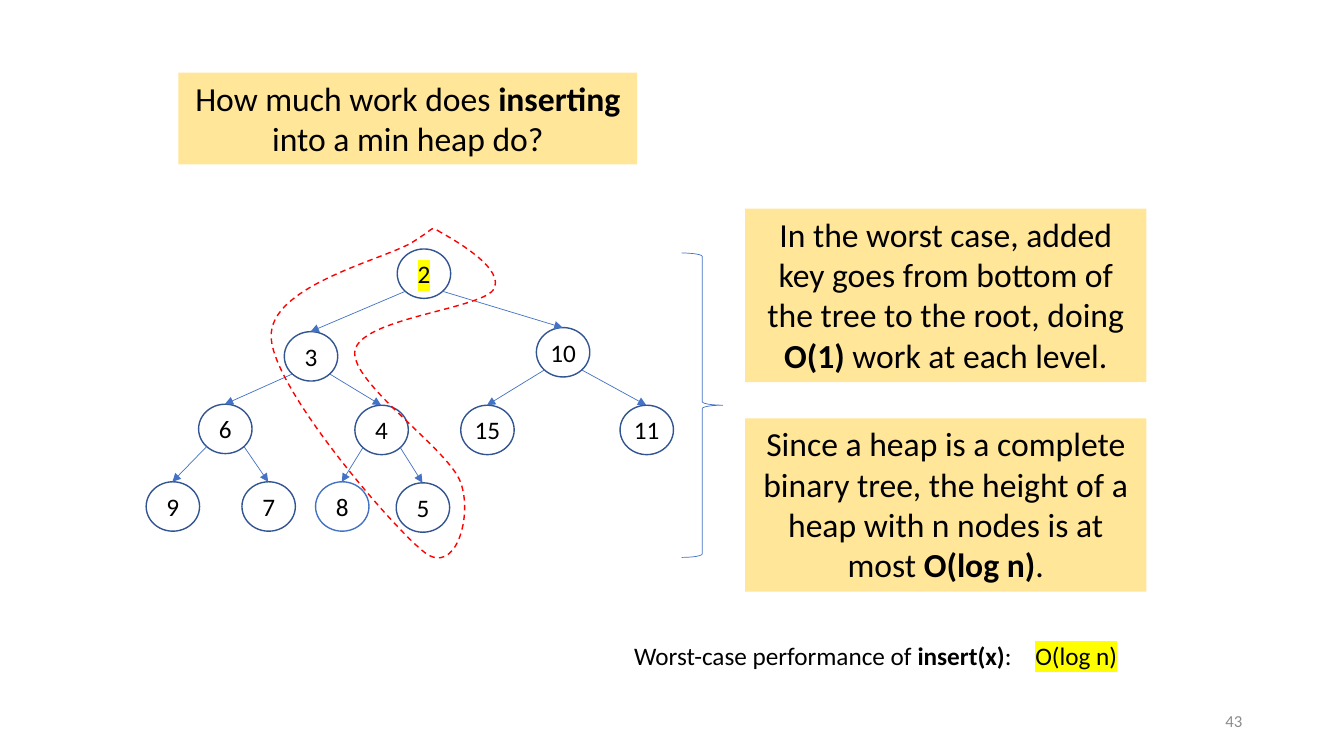
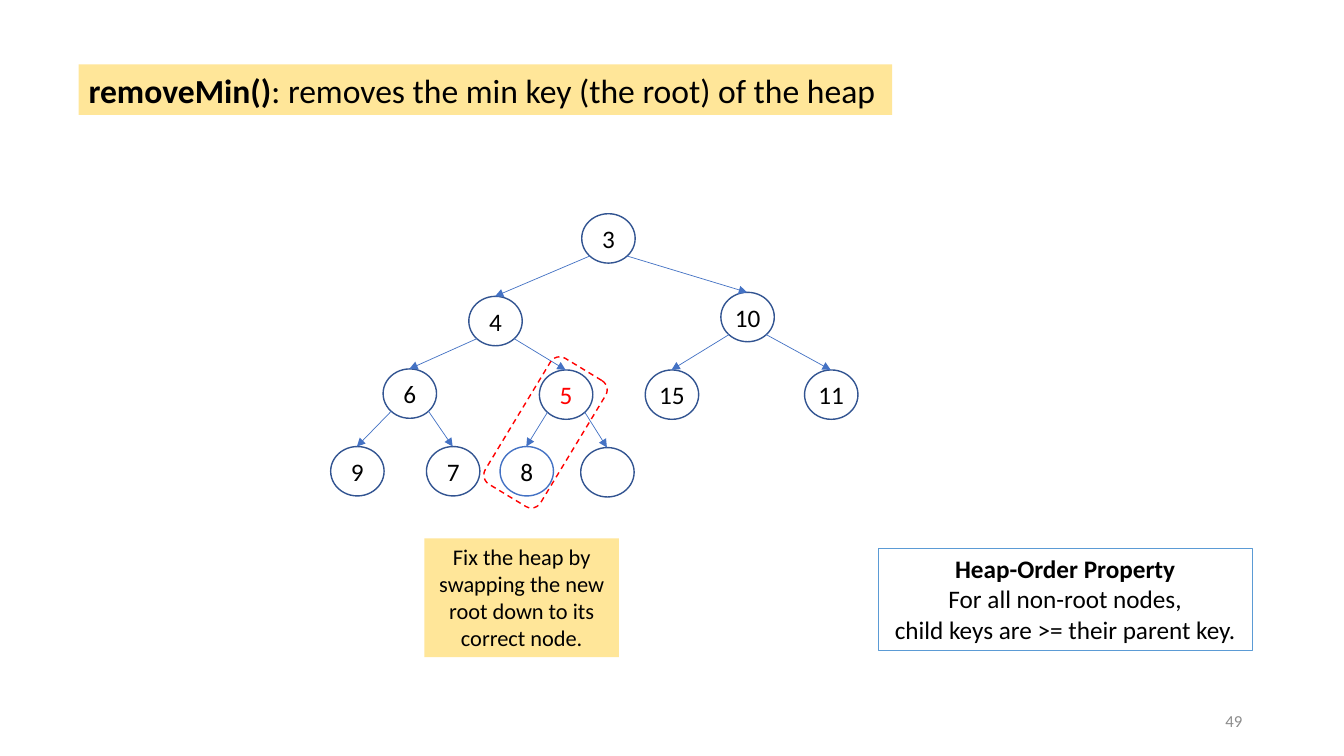
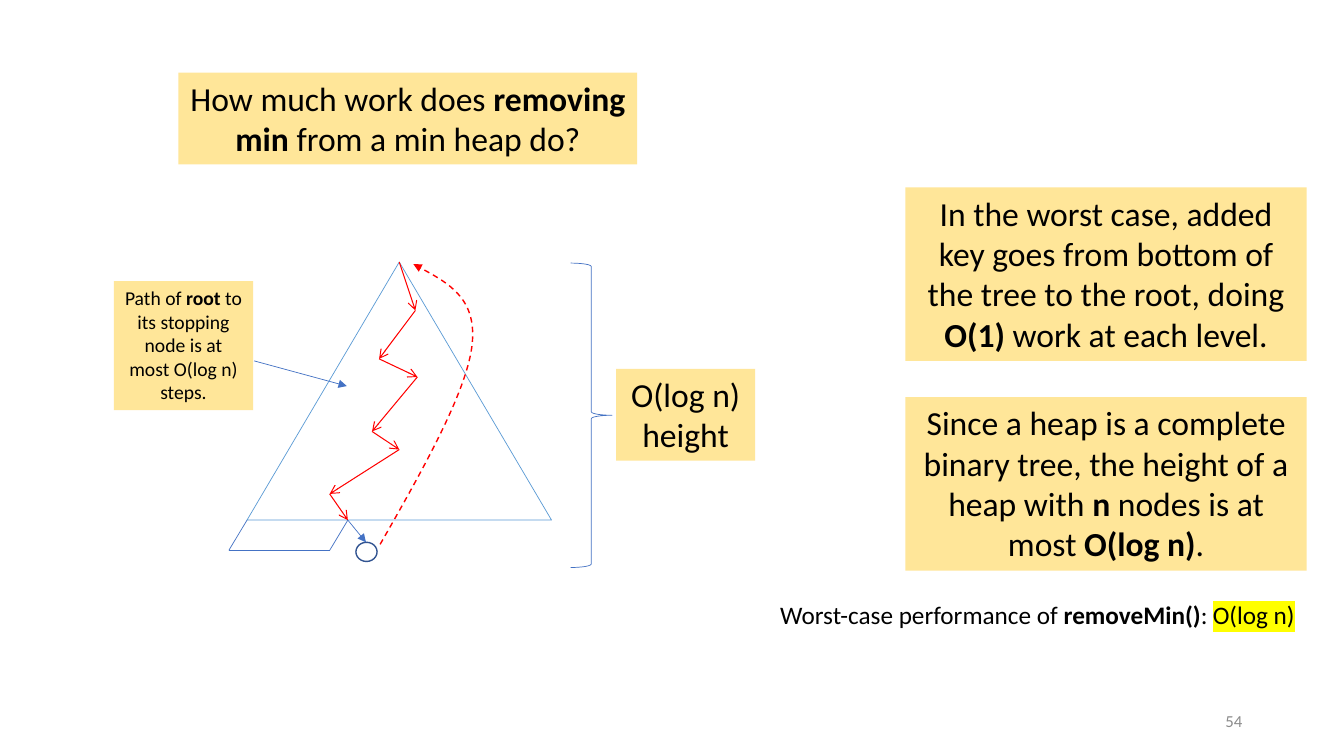
import itertools

import pptx
import pptx.dml.color
import pptx.enum.dml
import pptx.enum.shapes
import pptx.enum.text
import pptx.oxml
import pptx.oxml.ns
import pptx.util

PX = 9144  # EMU per px, 100 px to the inch
SHAPES = pptx.enum.shapes.MSO_SHAPE
ALIGN = pptx.enum.text.PP_ALIGN
ANCHOR = pptx.enum.text.MSO_ANCHOR
qn = pptx.oxml.ns.qn


def color(value):
    return pptx.dml.color.RGBColor.from_string(value)


def add_xml(parent, name, **attributes):
    child = parent.makeelement(qn(name), attributes)
    parent.append(child)
    return child


class HeapDeck:
    FONT = "Calibri"
    BLACK, GRAY, RED = "000000", "8C8C8C", "FF0000"
    SAND, YELLOW = "FFE699", "FFFF00"
    NAVY, BLUE, SKY = "325491", "4472C4", "5B9BD5"
    NODE_WIDTH, NODE_HEIGHT = 53, 49

    def __init__(self):
        self.deck = pptx.Presentation()
        self.deck.slide_width = 1333 * PX
        self.deck.slide_height = 750 * PX
        self.page = None

    def new_page(self, number):
        self.page = self.deck.slides.add_slide(self.deck.slide_layouts[6])
        self.text(942, 695, 300, 40, [number], size=12, ink=self.GRAY,
                  align=ALIGN.RIGHT, anchor=ANCHOR.MIDDLE)

    # Text: each paragraph is a string, with ** around its bold parts
    def fill_text(self, frame, paragraphs, size, ink, align, mark=None):
        for index, content in enumerate(paragraphs):
            para = frame.paragraphs[0] if index == 0 else frame.add_paragraph()
            para.alignment = align
            for part, words in enumerate(content.split("**")):
                if not words:
                    continue
                span = para.add_run()
                span.text = words
                span.font.name = self.FONT
                span.font.size = pptx.util.Pt(size)
                span.font.bold = part % 2 == 1
                span.font.color.rgb = color(ink)
                if mark:
                    latin = span.font._element.find(qn("a:latin"))
                    highlight = add_xml(span.font._element, "a:highlight")
                    add_xml(highlight, "a:srgbClr", val=mark)
                    latin.addprevious(highlight)

    def text(self, left, top, width, height, paragraphs, size=18, ink=BLACK,
             align=ALIGN.LEFT, anchor=ANCHOR.TOP, wrap=True, mark=None):
        box = self.page.shapes.add_textbox(left * PX, top * PX, width * PX, height * PX)
        box.text_frame.word_wrap = wrap
        box.text_frame.vertical_anchor = anchor
        self.fill_text(box.text_frame, paragraphs, size, ink, align, mark)
        return box

    def note(self, left, top, width, height, content, size=24, align=ALIGN.CENTER):
        box = self.text(left, top, width, height, [content], size, align=align)
        box.fill.solid()
        box.fill.fore_color.rgb = color(self.SAND)

    # Lines and outlines
    def stroke(self, line, ink, weight, dashed=False):
        line.color.rgb = color(ink)
        line.width = pptx.util.Pt(weight)
        if dashed:
            line.dash_style = pptx.enum.dml.MSO_LINE.DASH

    def arrowhead(self, shape, kind):
        add_xml(shape.line._get_or_add_ln(), "a:tailEnd", type=kind)

    def shape(self, kind, left, top, width, height, ink, weight, dashed=False):
        shape = self.page.shapes.add_shape(
            kind, left * PX, top * PX, width * PX, height * PX)
        shape.shadow.inherit = False
        shape.fill.background()
        self.stroke(shape.line, ink, weight, dashed)
        return shape

    def lines(self, points, ink=BLUE, weight=0.5, arrow=None):
        for start, end in itertools.pairwise(points):
            line = self.page.shapes.add_connector(
                pptx.enum.shapes.MSO_CONNECTOR.STRAIGHT,
                *(value * PX for value in start + end))
            self.stroke(line.line, ink, weight)
            if arrow:
                self.arrowhead(line, arrow)
            add_xml(line._element.spPr, "a:effectLst")

    def curve(self, start, bends, closed=False):
        """Each bend is two control points and an end point."""
        ends = [bend[2] for bend in bends]
        builder = self.page.shapes.build_freeform(*start, scale=PX)
        builder.add_line_segments(ends, close=closed)
        shape = builder.convert_to_shape()
        left = min(x for x, y in [start] + ends)
        top = min(y for x, y in [start] + ends)
        segments = list(shape._element.iter(qn("a:lnTo")))
        for segment, bend in zip(segments, bends):
            bezier = segment.makeelement(qn("a:cubicBezTo"), {})
            for x, y in bend:
                add_xml(bezier, "a:pt", x=str(x - left), y=str(y - top))
            segment.getparent().replace(segment, bezier)
        shape.shadow.inherit = False
        shape.fill.background()
        self.stroke(shape.line, self.RED, 1, dashed=True)
        return shape

    # Heap parts
    def tree(self, left, top, keys, red=None, marked=None):
        """Draw keys in level order; (left, top) is the root's corner."""
        places = [(0, 0), (-112, 82), (138, 78), (-197, 154), (-42, 155), (63, 155),
                  (221, 155), (-249, 231), (-154, 231), (-81, 231), (-1, 232)]
        places = [(left + x, top + y) for x, y in places]
        for index, (key, (x, y)) in enumerate(zip(keys, places)):
            ink = self.BLUE if key == "8" else self.NAVY
            node = self.shape(SHAPES.OVAL, x, y, self.NODE_WIDTH, self.NODE_HEIGHT, ink, 1)
            frame = node.text_frame
            frame.margin_left = frame.margin_right = 0
            frame.margin_top = frame.margin_bottom = 0
            frame.word_wrap = False
            self.fill_text(frame, [key], 18, self.RED if key == red else self.BLACK,
                           ALIGN.CENTER, self.YELLOW if key == marked else None)
            if index:
                parent_x, parent_y = places[(index - 1) // 2]
                side = 8 if index % 2 else 45
                self.lines([(parent_x + side, parent_y + 42),
                            (x + self.NODE_WIDTH // 2, y)], arrow="triangle")

    def question(self, content):
        self.note(177, 72, 455, 91, content)

    def brace(self, left, top):
        self.shape(SHAPES.RIGHT_BRACE, left, top, 41, 302, self.BLUE, 0.5)

    def reasons(self, left, top, count):
        reasons = [
            "In the worst case, added key goes from bottom of the tree to the root, "
            "doing **O(1)** work at each level.",
            "Since a heap is a complete binary tree, the height of a heap with "
            f"{count} nodes is at most **O(log n)**."]
        for row, reason in enumerate(reasons):
            self.note(left, top + row * 208, 398, 172, reason)

    def verdict(self, left, top, width, method, answer_left):
        self.text(left, top, width, 40,
                  [f"Worst-case performance of **{method}**:"], wrap=False)
        self.text(answer_left, top, 102, 40, ["O(log n)"], wrap=False, mark=self.YELLOW)


def insert_cost(heap):
    heap.new_page("43")
    heap.tree(394, 247, ["2", "3", "10", "6", "4", "15", "11", "9", "7", "8", "5"],
              marked="2")
    heap.question("How much work does **inserting** into a min heap do?")
    # Loop around the way up from the new key
    heap.curve((438, 231), [
        [(425, 224), (436, 224), (408, 241)],
        [(379, 258), (266, 284), (269, 335)],
        [(271, 386), (390, 524), (421, 548)],
        [(452, 572), (469, 512), (457, 479)],
        [(446, 446), (347, 380), (352, 348)],
        [(358, 316), (474, 307), (489, 288)],
        [(503, 268), (452, 239), (438, 231)]], closed=True)
    heap.brace(676, 251)
    heap.reasons(739, 207, "n")
    heap.verdict(619, 630, 395, "insert(x)", 1017)


def remove_step(heap):
    heap.new_page("49")
    heap.tree(577, 212, ["3", "4", "10", "6", "5", "15", "11", "9", "7", "8", ""], red="5")
    heap.note(78, 64, 807, 50, "**removeMin()**: removes the min key (the root) of the heap",
              align=ALIGN.LEFT)
    rule = heap.text(871, 544, 371, 101,
                     ["**Heap-Order Property**", "For all non-root nodes,",
                      "child keys are >= their parent key."], align=ALIGN.CENTER)
    heap.stroke(rule.line, heap.SKY, 0.75)
    heap.note(421, 534, 193, 118,
              "Fix the heap by swapping the new root down to its correct node.", size=16)
    swap = heap.shape(SHAPES.ROUNDED_RECTANGLE, 468, 397, 146, 64, heap.RED, 1, dashed=True)
    swap.rotation = 121.2


def remove_cost(heap):
    heap.new_page("54")
    heap.question("How much work does **removing min** from a min heap do?")
    heap.brace(566, 261)
    heap.reasons(898, 186, "**n**")
    # Heap outline with its partly filled last level
    heap.shape(SHAPES.ISOSCELES_TRIANGLE, 245, 260, 302, 256, heap.SKY, 0.5)
    heap.lines([(245, 516), (227, 546), (327, 546), (345, 516)])
    heap.shape(SHAPES.OVAL, 353, 538, 21, 19, heap.NAVY, 1)
    heap.lines([(345, 516), (363, 538)], arrow="triangle")
    heap.note(611, 366, 138, 91, "O(log n) height")
    # Way of the root down the heap
    heap.lines([(396, 260), (412, 308), (376, 356), (414, 374), (369, 428),
                (396, 446), (327, 490), (345, 516)], heap.RED, 0.75, "arrow")
    heap.lines([(252, 358), (344, 383)], arrow="triangle")
    heap.note(113, 279, 138, 128,
              "Path of **root** to its stopping node is at most O(log n) steps.", size=14)
    # Last key moves to the root
    move = heap.curve((377, 540), [
        [(420, 465), (462, 390), (468, 344)],
        [(474, 297), (442, 279), (410, 262)]])
    heap.arrowhead(move, "triangle")
    heap.verdict(764, 590, 447, "removeMin()", 1193)


def main():
    heap = HeapDeck()
    insert_cost(heap)
    remove_step(heap)
    remove_cost(heap)
    heap.deck.save("out.pptx")


if __name__ == "__main__":
    main()
